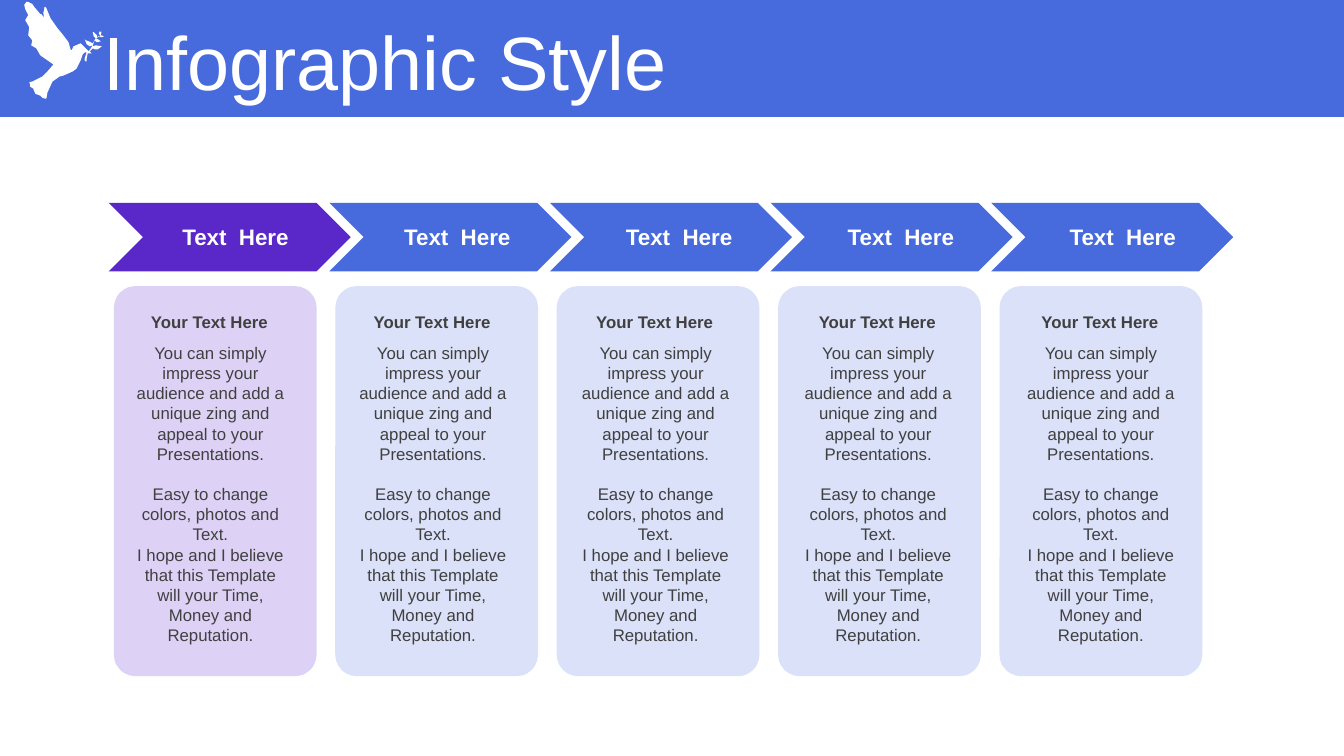
"""Build the Infographic Style slide: a banner and five chevron stages with cards."""
from dataclasses import dataclass

import pptx
import pptx.dml.color
import pptx.enum.shapes
import pptx.enum.text
import pptx.util

Cm = pptx.util.Cm
Pt = pptx.util.Pt
Shapes = pptx.enum.shapes.MSO_SHAPE
Align = pptx.enum.text.PP_ALIGN
Anchor = pptx.enum.text.MSO_ANCHOR

COLORS = {
    "blue": "476ADD",
    "purple": "5A28C8",
    "pale_blue": "DAE1F8",
    "pale_purple": "DDD2F6",
    "white": "FFFFFF",
    "ink": "404040",
}
DESCRIPTION = [
    "You can simply impress your audience and add a unique zing and appeal to your Presentations.",
    "Easy to change colors, photos and Text.",
    "I hope and I believe that this Template will your Time, Money and Reputation.",
]
DOVE = """
35,93 33,88 30,86 30,84 29,82 31,81 32,81 42,76 47,71 53,64 40,55 36,48 31,45 32,40 28,35
29,27 25,20 28,15 25,9 24,5 26,2 28,2 32,4 34,7 40,14 41,14 44,18 44,19 43,13 44,8 44,7 45,7
46,8 50,18 57,28 62,34 68,42 70,49 71,50 73,46 80,43 85,48 88,51 92,45 89,46 86,44 84,39
85,40 88,41 92,43 95,38 93,36 92,32 93,32 96,35 96,37 100,35 98,34 98,33 99,31 100,32 100,34
101,31 100,35 103,36 101,37 100,37 99,36 95,38 97,39 100,41 96,42 95,41 94,40 93,42 92,46
95,45 101,46 97,49 94,49 92,48 89,51 91,53 90,53 88,53 87,53 86,58 86,60 86,61 85,61 84,60
84,58 86,52 85,52 84,52 82,54 81,57 80,60 76,68 72,71 63,75 59,76 52,81 47,92 46,98 45,98
42,97 40,95
"""


@dataclass(frozen=True)
class Stage:
    label: str
    chevron: str
    card: str


@dataclass(frozen=True)
class Row:
    """Boxes of one kind, spaced evenly across the stages, in centimetres."""

    left: float
    pitch: float
    top: float
    width: float
    height: float

    def box(self, index: int) -> tuple:
        left = self.left + index * self.pitch
        return Cm(left), Cm(self.top), Cm(self.width), Cm(self.height)


STAGES = [Stage("Text  Here", "purple", "pale_purple")] + [
    Stage("Text  Here", "blue", "pale_blue")
] * 4
CHEVRONS = Row(2.74, 5.56, 5.11, 6.1, 1.73)
CARDS = Row(2.87, 5.58, 7.21, 5.11, 9.83)
LABELS = Row(3.56, 5.59, 5.51, 4.75, 0.94)
HEADINGS = Row(3.07, 5.61, 7.72, 4.42, 0.76)
DESCRIPTIONS = Row(3.07, 5.61, 8.51, 4.47, 7.95)


def rgb(color: str) -> pptx.dml.color.RGBColor:
    return pptx.dml.color.RGBColor.from_string(COLORS[color])


def paint(shape, color: str) -> None:
    shape.shadow.inherit = False
    shape.fill.solid()
    shape.fill.fore_color.rgb = rgb(color)
    shape.line.fill.background()


def add_block(slide, kind, box: tuple, color: str, corner: float | None = None) -> None:
    block = slide.shapes.add_shape(kind, *box)
    paint(block, color)
    if corner is not None:
        block.adjustments[0] = corner


def add_text(slide, box: tuple, paragraphs: list[str], *, size: float, color: str = "ink",
             bold: bool = False, align=Align.CENTER, anchor=Anchor.TOP,
             line_spacing: float | None = None, gaps: dict[int, float] | None = None) -> None:
    frame = slide.shapes.add_textbox(*box).text_frame
    frame.word_wrap = True
    frame.vertical_anchor = anchor
    for index, words in enumerate(paragraphs):
        paragraph = frame.add_paragraph() if index else frame.paragraphs[0]
        paragraph.alignment = align
        if line_spacing is not None:
            paragraph.line_spacing = line_spacing
        if gaps and index in gaps:
            paragraph.space_before = Pt(gaps[index])
        run = paragraph.add_run()
        run.text = words
        run.font.name = "Arial"
        run.font.size = Pt(size)
        run.font.bold = bold
        run.font.color.rgb = rgb(color)


def add_dove(slide) -> None:
    points = [tuple(map(int, pair.split(","))) for pair in DOVE.split()]
    outline = slide.shapes.build_freeform(*points[0], scale=Cm(2.54) / 100)
    outline.add_line_segments(points[1:], close=True)
    paint(outline.convert_to_shape(), "white")


def add_stage(slide, index: int, stage: Stage) -> None:
    add_block(slide, Shapes.CHEVRON, CHEVRONS.box(index), stage.chevron)
    add_block(slide, Shapes.ROUNDED_RECTANGLE, CARDS.box(index), stage.card, 0.107)
    add_text(slide, LABELS.box(index), [stage.label], size=16, color="white", bold=True)
    add_text(slide, HEADINGS.box(index), ["Your Text Here"], size=12, bold=True)
    add_text(slide, DESCRIPTIONS.box(index), DESCRIPTION, size=12, gaps={1: 14.4})


def main() -> None:
    deck = pptx.Presentation()
    deck.slide_width = Cm(33.87)
    deck.slide_height = Cm(19.05)
    slide = deck.slides.add_slide(deck.slide_layouts[6])
    add_block(slide, Shapes.RECTANGLE, (0, 0, deck.slide_width, Cm(2.95)), "blue")
    add_dove(slide)
    add_text(slide, (Cm(2.36), Cm(0.66), Cm(30.1), Cm(2.01)), ["Infographic Style"], size=54,
             color="white", align=Align.LEFT, anchor=Anchor.MIDDLE, line_spacing=0.9)
    for index, stage in enumerate(STAGES):
        add_stage(slide, index, stage)
    deck.save("out.pptx")


if __name__ == "__main__":
    main()
